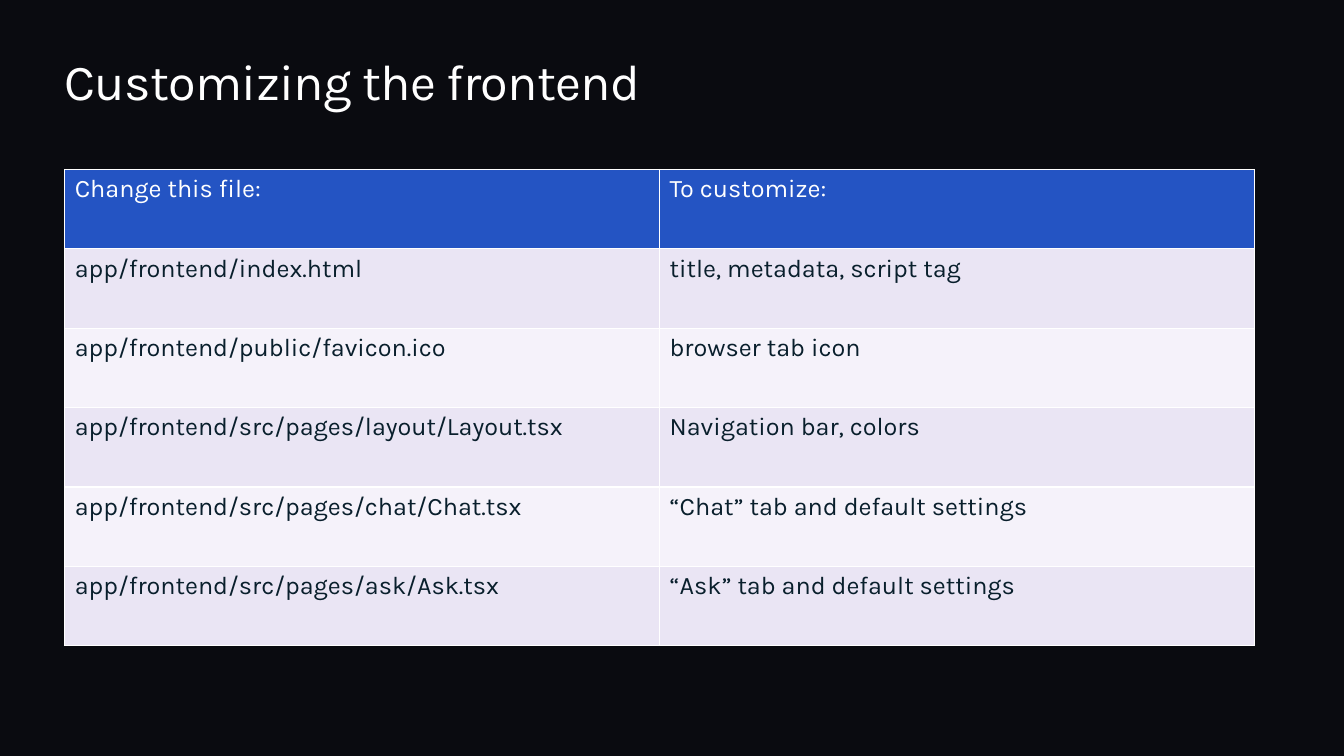
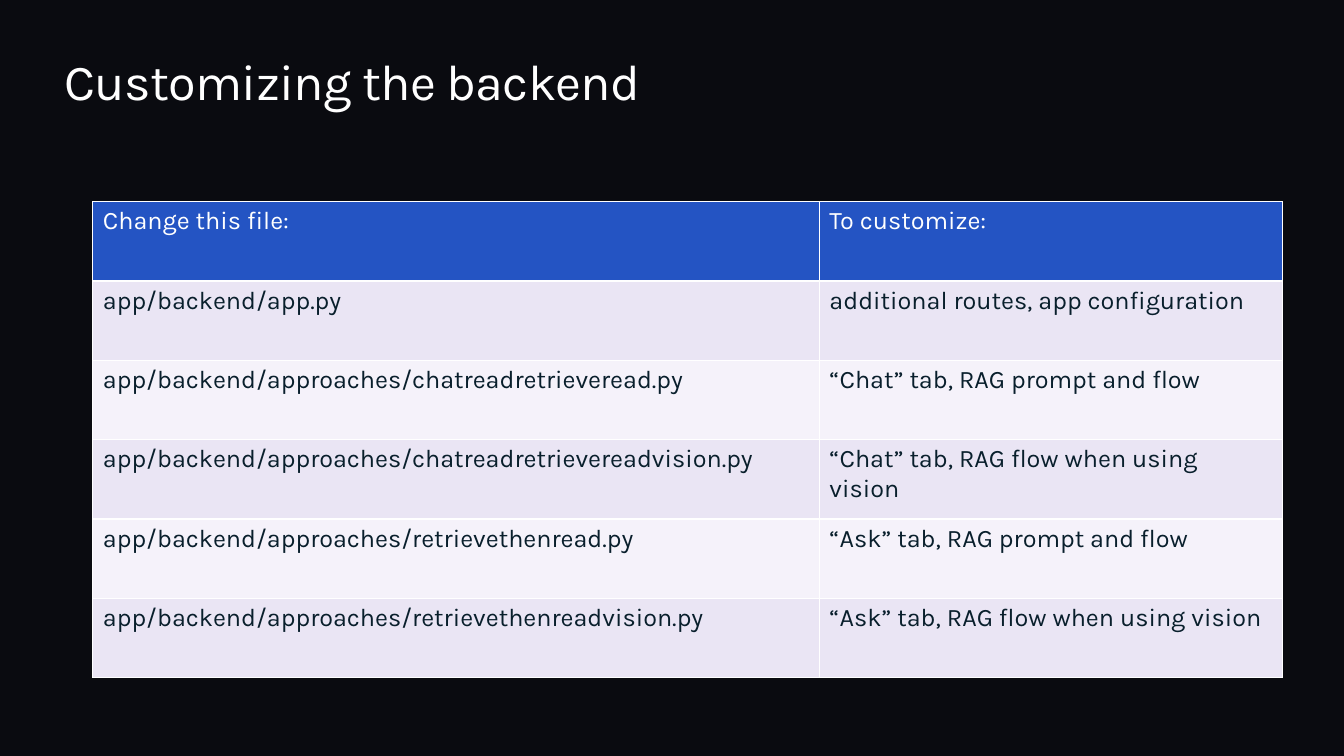
from lxml.etree import SubElement
from pptx import Presentation
from pptx.dml.color import RGBColor
from pptx.enum.text import MSO_ANCHOR
from pptx.oxml.ns import qn
from pptx.util import Cm, Pt

NIGHT = RGBColor(0x0A, 0x0B, 0x10)
WHITE = RGBColor(0xFF, 0xFF, 0xFF)
BLUE = RGBColor(0x24, 0x54, 0xC3)
LILAC = RGBColor(0xEA, 0xE5, 0xF4)
PALE = RGBColor(0xF5, 0xF2, 0xFA)
INK = RGBColor(0x09, 0x1F, 0x2C)

HEADER = ("Change this file:", "To customize:")
FRONTEND_ROWS = [
    ("app/frontend/index.html", "title, metadata, script tag"),
    ("app/frontend/public/favicon.ico", "browser tab icon"),
    ("app/frontend/src/pages/layout/Layout.tsx", "Navigation bar, colors"),
    ("app/frontend/src/pages/chat/Chat.tsx", "“Chat” tab and default settings"),
    ("app/frontend/src/pages/ask/Ask.tsx", "“Ask” tab and default settings"),
]
BACKEND_ROWS = [
    ("app/backend/app.py", "additional routes, app configuration"),
    ("app/backend/approaches/chatreadretrieveread.py",
     "“Chat” tab, RAG prompt and flow"),
    ("app/backend/approaches/chatreadretrievereadvision.py",
     "“Chat” tab, RAG flow when using vision"),
    ("app/backend/approaches/retrievethenread.py",
     "“Ask” tab, RAG prompt and flow"),
    ("app/backend/approaches/retrievethenreadvision.py",
     "“Ask” tab, RAG flow when using vision"),
]


def write(frame, text, size=18, color=INK, font="Karla", spacing=0):
    span = frame.paragraphs[0].add_run()
    span.text = text
    span.font.name = font
    span.font.size = Pt(size)
    span.font.bold = False
    span.font.color.rgb = color
    if spacing:
        span._r.get_or_add_rPr().set("spc", str(round(spacing * 100)))


def outline(cell, color=WHITE, width=1):
    properties = cell._tc.get_or_add_tcPr()
    for side in ("L", "R", "T", "B"):
        line = SubElement(properties, qn(f"a:ln{side}"), w=str(Pt(width)))
        fill = SubElement(line, qn("a:solidFill"))
        SubElement(fill, qn("a:srgbClr"), val=str(color))


class Slides:
    row_height = 2

    def __init__(self):
        self.deck = Presentation()
        self.deck.slide_width = Cm(33.87)
        self.deck.slide_height = Cm(19.05)
        background = self.deck.slide_master.background.fill
        background.solid()
        background.fore_color.rgb = NIGHT
        self.page = None

    def add_page(self, title):
        self.page = self.deck.slides.add_slide(self.deck.slide_layouts[6])
        self.add_title(title)

    def add_title(self, text):
        box = self.page.shapes.add_textbox(
            Cm(1.63), Cm(1.27), Cm(30.61), Cm(1.55))
        frame = box.text_frame
        frame.word_wrap = True
        frame.vertical_anchor = MSO_ANCHOR.TOP
        frame.margin_left = frame.margin_right = 0
        frame.margin_top = frame.margin_bottom = 0
        write(frame, text, size=36, color=WHITE, spacing=-0.5)

    def add_file_table(self, left, top, widths, entries):
        rows = [HEADER, *entries]
        table = self.page.shapes.add_table(
            len(rows), len(widths), Cm(left), Cm(top),
            Cm(sum(widths)), Cm(self.row_height * len(rows))).table
        for column, width in zip(table.columns, widths):
            column.width = Cm(width)
        for row_index, texts in enumerate(rows):
            if row_index == 0:
                fill, color = BLUE, WHITE
            else:
                fill, color = (LILAC if row_index % 2 else PALE), INK
            for column_index, text in enumerate(texts):
                cell = table.cell(row_index, column_index)
                outline(cell)
                cell.fill.solid()
                cell.fill.fore_color.rgb = fill
                write(cell.text_frame, text, color=color)


def main():
    slides = Slides()
    slides.add_page("Customizing the frontend")
    slides.add_file_table(1.63, 4.27, (14.99, 14.99), FRONTEND_ROWS)
    slides.add_page("Customizing the backend")
    slides.add_file_table(2.34, 5.08, (18.31, 11.66), BACKEND_ROWS)
    slides.deck.save("out.pptx")


if __name__ == "__main__":
    main()
